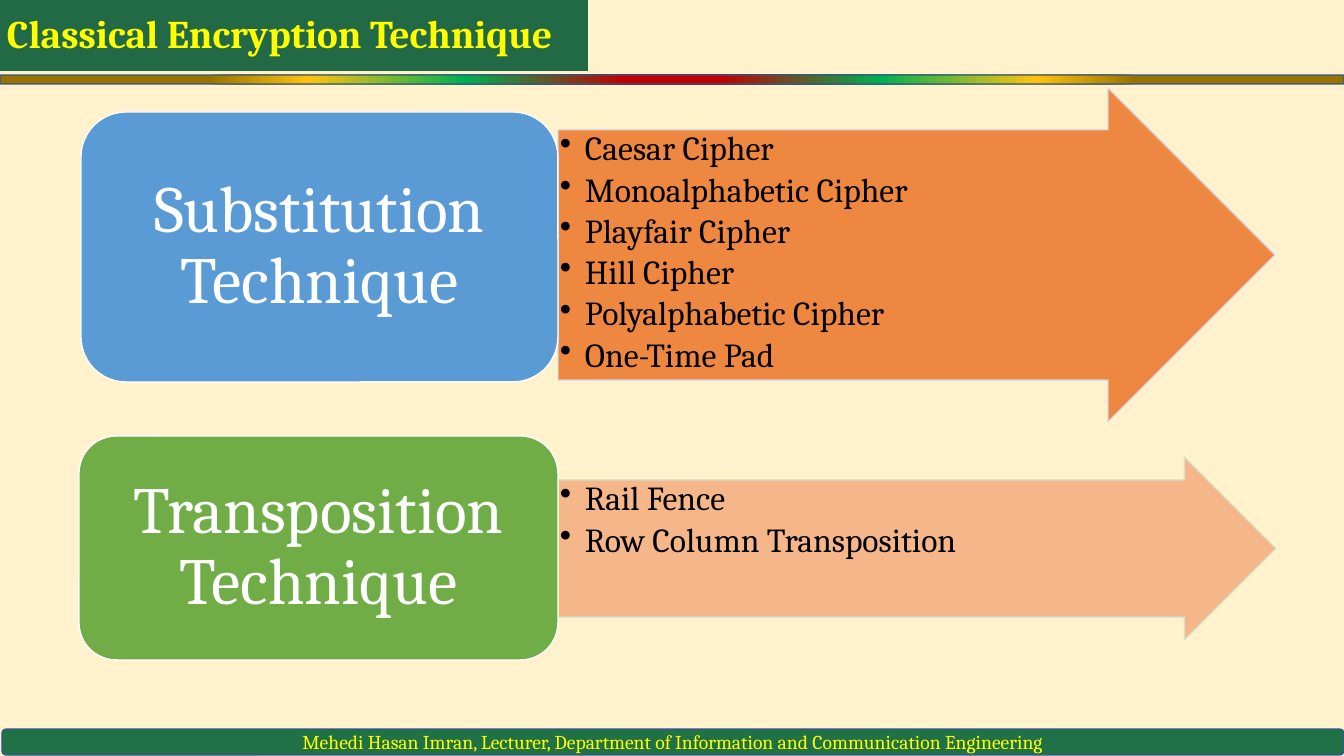
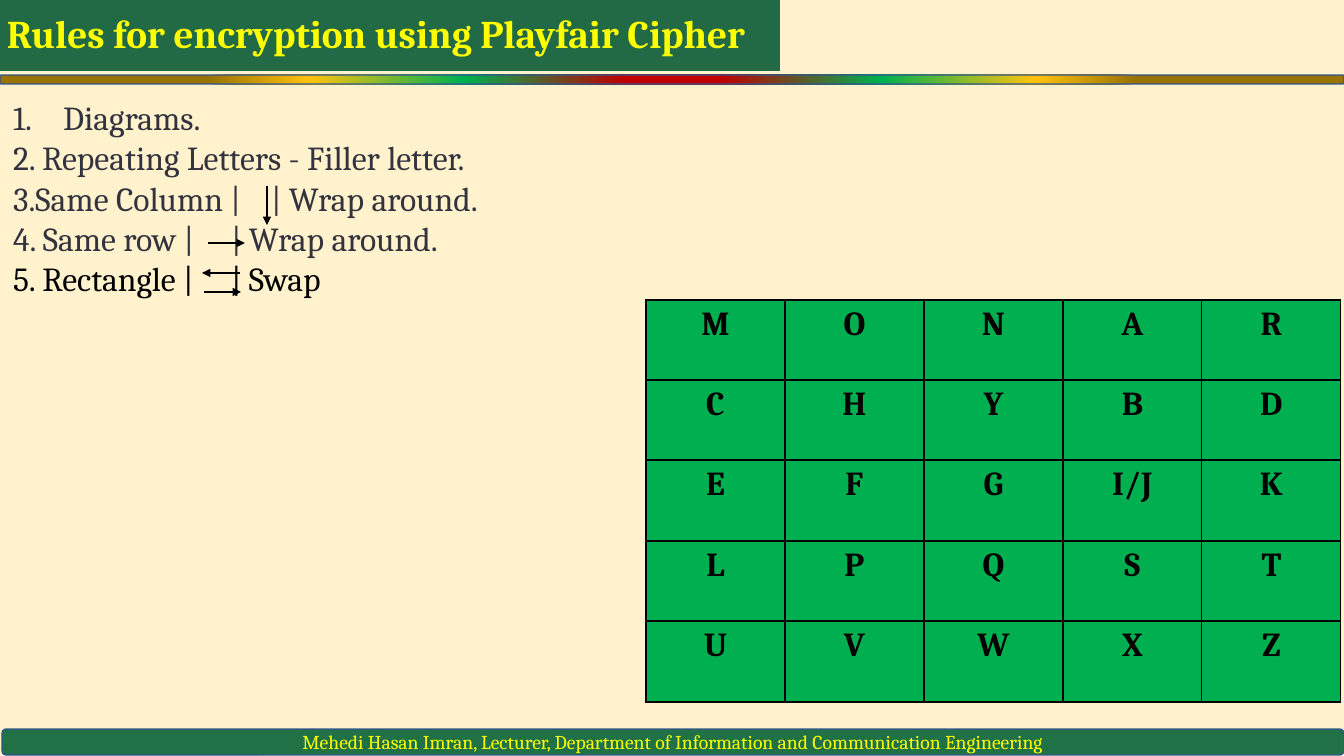
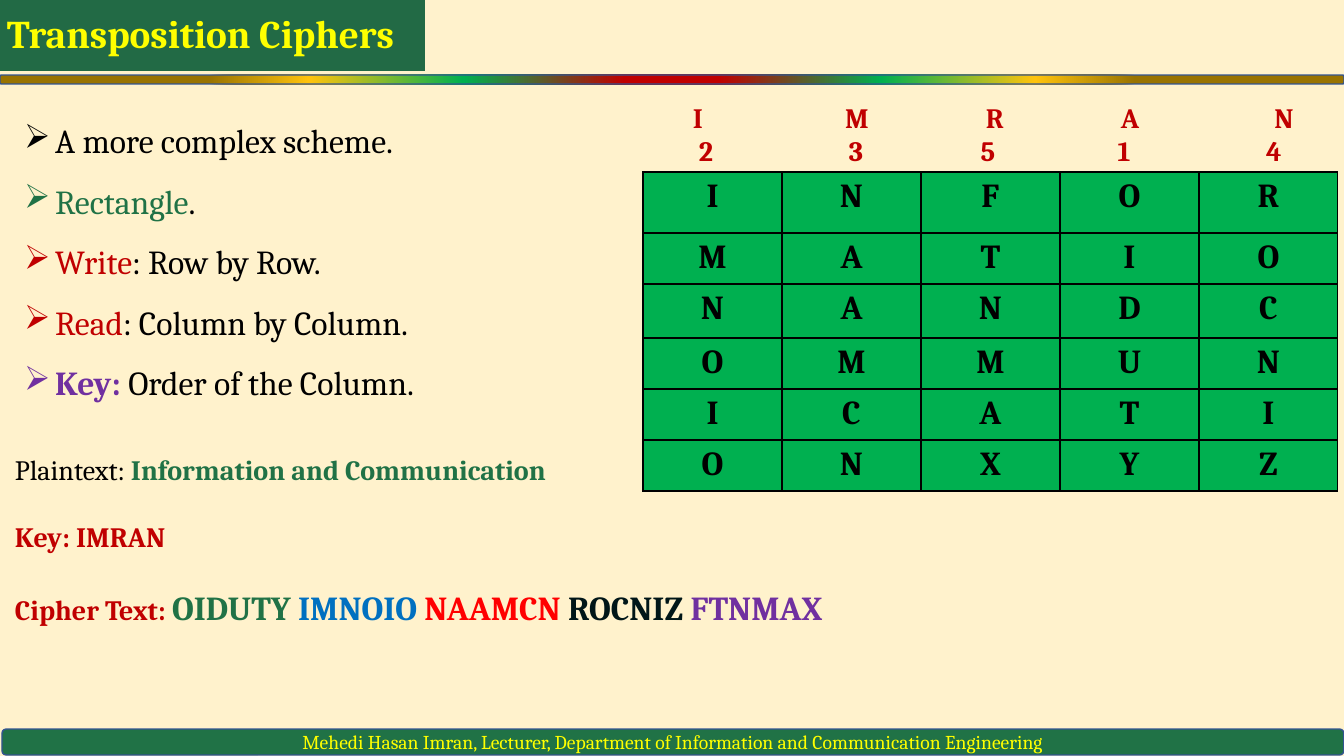
"""Build three slides on classical encryption techniques."""
from typing import NamedTuple

from lxml import etree
from pptx import Presentation
from pptx.dml.color import RGBColor
from pptx.enum.shapes import MSO_CONNECTOR, MSO_SHAPE
from pptx.enum.text import MSO_ANCHOR, MSO_AUTO_SIZE, PP_ALIGN
from pptx.oxml import parse_xml
from pptx.oxml.ns import nsdecls, qn
from pptx.util import Emu, Pt

ROUNDED = MSO_SHAPE.ROUNDED_RECTANGLE
ARROW = MSO_SHAPE.RIGHT_ARROW
STRAIGHT = MSO_CONNECTOR.STRAIGHT
TOP, MIDDLE = MSO_ANCHOR.TOP, MSO_ANCHOR.MIDDLE
LEFT, CENTER = PP_ALIGN.LEFT, PP_ALIGN.CENTER
NO_AUTOFIT = MSO_AUTO_SIZE.NONE

EMU_PER_PX = 914400 / 100.8
SLIDE_WIDTH, SLIDE_HEIGHT = 1344, 756
FONT = "Cambria"

CREAM = RGBColor(0xFF, 0xF2, 0xCC)
YELLOW = RGBColor(0xFF, 0xFF, 0x00)
TITLE_GREEN = RGBColor(0x22, 0x6A, 0x45)
DEEP_GREEN = RGBColor(0x20, 0x72, 0x46)
CELL_GREEN = RGBColor(0x00, 0xB0, 0x50)
BAND_LINE = RGBColor(0x32, 0x54, 0x91)
BLACK = RGBColor(0x00, 0x00, 0x00)
WHITE = RGBColor(0xFF, 0xFF, 0xFF)
SLATE = RGBColor(0x33, 0x33, 0x3F)
INK = RGBColor(0x00, 0x16, 0x18)
CRIMSON = RGBColor(0xC0, 0x00, 0x00)
RED = RGBColor(0xFF, 0x00, 0x00)
PURPLE = RGBColor(0x70, 0x30, 0xA0)
BLUE = RGBColor(0x00, 0x70, 0xC0)
BOX_BLUE = RGBColor(0x5B, 0x9B, 0xD5)
BOX_GREEN = RGBColor(0x70, 0xAD, 0x47)
ORANGE = RGBColor(0xED, 0x7D, 0x31)
PEACH = RGBColor(0xF4, 0xB1, 0x83)
PALE_BLUE = RGBColor(0xD2, 0xDE, 0xEF)
PALE_GREEN = RGBColor(0xD5, 0xE3, 0xCF)
BAND_STOPS = ((7, CRIMSON), (31, CELL_GREEN),
              (54, RGBColor(0xFF, 0xC3, 0x0D)), (69, RGBColor(0x99, 0x73, 0x00)))
FOOTER = ("Mehedi Hasan Imran, Lecturer, Department of Information "
          "and Communication Engineering")


class Run(NamedTuple):
    """A stretch of text in one format."""
    text: str
    color: RGBColor = BLACK
    size: int = 24
    bold: bool = False


class Line(NamedTuple):
    """A paragraph: its runs and layout."""
    runs: list
    alignment: PP_ALIGN = LEFT
    bullet: str = ""
    numbered: bool = False
    indent: int = 0
    spacing: float = 1.0
    before: float = 0
    after: float = 0
    tabs: tuple = ()
    tab_alignment: str = "l"


def px(length):
    """Turn px into EMU."""
    return Emu(round(length * EMU_PER_PX))


class Deck:
    """The shared style and the current slide."""

    def __init__(self):
        """Set up the page and its background."""
        self.presentation = Presentation()
        self.presentation.slide_width = px(SLIDE_WIDTH)
        self.presentation.slide_height = px(SLIDE_HEIGHT)
        self.layout = self.presentation.slide_layouts[5]
        background = self.presentation.slide_master.background.fill
        background.solid()
        background.fore_color.rgb = CREAM
        self.slide = None

    def add_slide(self, title, title_width):
        """Start a slide with its title tab."""
        first = self.slide is None
        self.slide = self.presentation.slides.add_slide(self.layout)
        if first:
            self.frame_layout()
        shape = self.slide.shapes.title
        shape.left, shape.top = px(0), px(0)
        shape.width, shape.height = px(title_width), px(71)
        shape.element.spPr.append(parse_xml(
            f'<a:prstGeom {nsdecls("a")} prst="roundRect"><a:avLst/></a:prstGeom>'))
        shape.fill.solid()
        shape.fill.fore_color.rgb = TITLE_GREEN
        self.fill_text(shape, [Line([Run(title, YELLOW, 28, True)])], insets=(7, 9))

    def frame_layout(self):
        """Put the colour band and the footer on the layout."""
        band = self.shape(ROUNDED, (0, 75, SLIDE_WIDTH, 9), DEEP_GREEN, BAND_LINE)
        properties = band.element.spPr
        stops = "".join(
            f'<a:gs pos="{position * 1000}"><a:srgbClr val="{color}"/></a:gs>'
            for position, color in BAND_STOPS)
        properties.replace(properties.find(qn("a:solidFill")), parse_xml(
            f'<a:gradFill {nsdecls("a")}><a:gsLst>{stops}</a:gsLst><a:path path="circle">'
            '<a:fillToRect l="50000" t="130000" r="50000" b="-30000"/></a:path></a:gradFill>'))
        footer = self.shape(ROUNDED, (2, 729, SLIDE_WIDTH - 2, 26), DEEP_GREEN, BAND_LINE)
        self.fill_text(footer, [Line([Run(FOOTER, YELLOW, 14)], CENTER)], MIDDLE)
        for shape in (band, footer):
            self.layout.shapes.element.append(shape.element)

    def shape(self, kind, box, fill, line, opacity=100):
        """Add a filled and outlined preset shape."""
        shape = self.slide.shapes.add_shape(kind, *map(px, box))
        shape.shadow.inherit = False
        shape.fill.solid()
        shape.fill.fore_color.rgb = fill
        shape.line.color.rgb = line
        shape.line.width = Pt(1)
        if opacity < 100:
            for color in shape.element.spPr.iter(qn("a:srgbClr")):
                etree.SubElement(color, qn("a:alpha"), val=str(opacity * 1000))
        return shape

    def text(self, box, lines, wrap=True):
        """Add a text box."""
        shape = self.slide.shapes.add_textbox(*map(px, box))
        self.fill_text(shape, lines, wrap=wrap)

    def fill_text(self, shape, lines, anchor=TOP, insets=(10, 5), wrap=True):
        """Put lines into a shape."""
        frame = shape.text_frame
        frame.auto_size = NO_AUTOFIT
        frame.word_wrap = wrap
        frame.vertical_anchor = anchor
        frame.margin_left = frame.margin_right = px(insets[0])
        frame.margin_top = frame.margin_bottom = px(insets[1])
        for index, line in enumerate(lines):
            paragraph = frame.add_paragraph() if index else frame.paragraphs[0]
            self.format_paragraph(paragraph, line)

    def format_paragraph(self, paragraph, line):
        """Lay out one paragraph and add its runs."""
        paragraph.alignment = line.alignment
        paragraph.line_spacing = line.spacing
        paragraph.space_before = Pt(line.before)
        paragraph.space_after = Pt(line.after)
        properties = paragraph._p.get_or_add_pPr()
        if line.indent:
            properties.set("marL", str(px(line.indent)))
            properties.set("indent", str(-px(line.indent)))
        if line.bullet:
            etree.SubElement(properties, qn("a:buChar"), char=line.bullet)
        if line.numbered:
            etree.SubElement(properties, qn("a:buAutoNum"), type="arabicPeriod")
        if line.tabs:
            tab_list = etree.SubElement(properties, qn("a:tabLst"))
            for position in line.tabs:
                etree.SubElement(tab_list, qn("a:tab"), pos=str(px(position)),
                                 algn=line.tab_alignment)
        for item in line.runs:
            run = paragraph.add_run()
            run.text = item.text
            run.font.name = FONT
            run.font.size = Pt(item.size)
            run.font.bold = item.bold
            run.font.color.rgb = item.color

    def technique(self, name, box, fill, arrow_box, arrow_fill, arrow_line, ciphers):
        """Add a technique box and the arrow listing its ciphers."""
        arrow = self.shape(ARROW, arrow_box, arrow_fill, arrow_line, 90)
        arrow.adjustments[0], arrow.adjustments[1] = 0.75, 0.5
        self.fill_text(arrow, [Line([Run(cipher)], bullet="•", indent=25, spacing=0.9, after=3.6)
                               for cipher in ciphers], insets=(2, 2))
        label = self.shape(ROUNDED, box, fill, WHITE)
        self.fill_text(label, [Line([Run(name, WHITE, 47)], CENTER, spacing=0.9)],
                       MIDDLE, (20, 10))

    def arrow(self, start, end):
        """Add a thin black arrow."""
        connector = self.slide.shapes.add_connector(STRAIGHT, *map(px, start + end))
        connector.line.color.rgb = BLACK
        connector.line.width = Pt(1.5)
        properties = connector.element.spPr
        etree.SubElement(properties.find(qn("a:ln")), qn("a:tailEnd"), type="triangle")
        etree.SubElement(properties, qn("a:effectLst"))

    def letter_grid(self, left, top, row_heights, rows, column_width=139):
        """Add a table of bold letters on green."""
        columns = len(rows[0])
        table = self.slide.shapes.add_table(
            len(rows), columns, px(left), px(top),
            px(columns * column_width), px(sum(row_heights))).table
        table.first_row = table.horz_banding = False
        for column in table.columns:
            column.width = px(column_width)
        for row, height, letters in zip(table.rows, row_heights, rows):
            row.height = px(height)
            for cell, letter in zip(row.cells, letters):
                self.format_cell(cell, letter)

    def format_cell(self, cell, letter):
        """Border, fill and letter one cell."""
        properties = cell._tc.get_or_add_tcPr()
        for side in ("lnL", "lnR", "lnT", "lnB"):
            properties.append(parse_xml(
                f'<a:{side} {nsdecls("a")} w="{int(Pt(1))}"><a:solidFill>'
                f'<a:srgbClr val="{BLACK}"/></a:solidFill></a:{side}>'))
        cell.fill.solid()
        cell.fill.fore_color.rgb = CELL_GREEN
        self.format_paragraph(cell.text_frame.paragraphs[0],
                              Line([Run(letter, bold=True)], CENTER))


def add_techniques(deck):
    """Slide 1: the two families of ciphers."""
    deck.add_slide("Classical Encryption Technique", 588)
    deck.technique("Substitution Technique", (81, 112, 477, 270), BOX_BLUE,
                   (558, 88, 717, 334), ORANGE, PALE_BLUE,
                   ["Caesar Cipher", "Monoalphabetic Cipher", "Playfair Cipher",
                    "Hill Cipher", "Polyalphabetic Cipher", "One-Time Pad"])
    deck.technique("Transposition Technique", (79, 436, 479, 224), BOX_GREEN,
                   (558, 457, 718, 183), PEACH, PALE_GREEN,
                   ["Rail Fence", "Row Column Transposition"])


def add_playfair(deck):
    """Slide 2: the rules and the key square."""
    deck.add_slide("Rules for encryption using Playfair Cipher", 780)
    deck.text((3, 92, 680, 214), [
        Line([Run("Diagrams.", SLATE)], numbered=True, indent=50),
        Line([Run("2. Repeating Letters - Filler letter.", SLATE)]),
        Line([Run("3.Same Column |\t| Wrap around.", SLATE)], tabs=(258,)),
        Line([Run("4. Same row |\t| Wrap around.", SLATE)], tabs=(218,)),
        Line([Run("5. Rectangle |\t| Swap")], tabs=(218,)),
    ])
    for start, end in (((267, 186), (267, 225)), ((208, 243), (245, 243)),
                       ((240, 273), (202, 273)), ((204, 292), (241, 292))):
        deck.arrow(start, end)
    deck.letter_grid(646, 300, [80, 80, 81, 80, 81],
                     ["MONAR", "CHYBD", ["E", "F", "G", "I/J", "K"], "LPQST", "UVWXZ"])


def add_transposition(deck):
    """Slide 3: a worked column transposition."""
    deck.add_slide("Transposition Ciphers", 425)
    points = [
        [Run("A more complex scheme.")],
        [Run("Rectangle", DEEP_GREEN), Run(".")],
        [Run("Write", CRIMSON), Run(": Row by Row.")],
        [Run("Read", CRIMSON), Run(": Column by Column.")],
        [Run("Key: ", PURPLE, bold=True), Run("Order of the Column.")],
    ]
    deck.text((14, 95, 428, 308),
              [Line(runs, bullet="➢", indent=31, spacing=1.5) for runs in points], wrap=False)
    deck.letter_grid(643, 172, [61, 51, 54, 51, 51],
                     ["INFOR", "MATIO", "NANDC", "OMMUN", "ICATI"])
    groups = (("OIDUTY ", DEEP_GREEN), ("IMNOIO ", BLUE), ("NAAMCN ", RED),
              ("ROCNIZ ", INK), ("FTNMAX", PURPLE))
    deck.text((5, 447, 1056, 186), [
        Line([Run("Plaintext: ", size=20),
              Run("Information and Communication", DEEP_GREEN, 20, True)]),
        Line([Run("Key: IMRAN", CRIMSON, 20, True)], before=24),
        Line([Run("Cipher Text: ", CRIMSON, 20, True)]
             + [Run(group, color, bold=True) for group, color in groups], before=24),
    ])
    headings = (("IMRAN", (42, 201, 339, 474, 628)), ("23514", (50, 200, 332, 468, 618)))
    deck.text((646, 95, 696, 78), [
        Line([Run("".join("\t" + mark for mark in marks), CRIMSON, 20, True)],
             tabs=stops, tab_alignment="ctr") for marks, stops in headings])
    deck.letter_grid(643, 440, [51], ["ONXYZ"])


def main():
    """Build and save the presentation."""
    deck = Deck()
    add_techniques(deck)
    add_playfair(deck)
    add_transposition(deck)
    deck.presentation.save("out.pptx")


if __name__ == "__main__":
    main()
